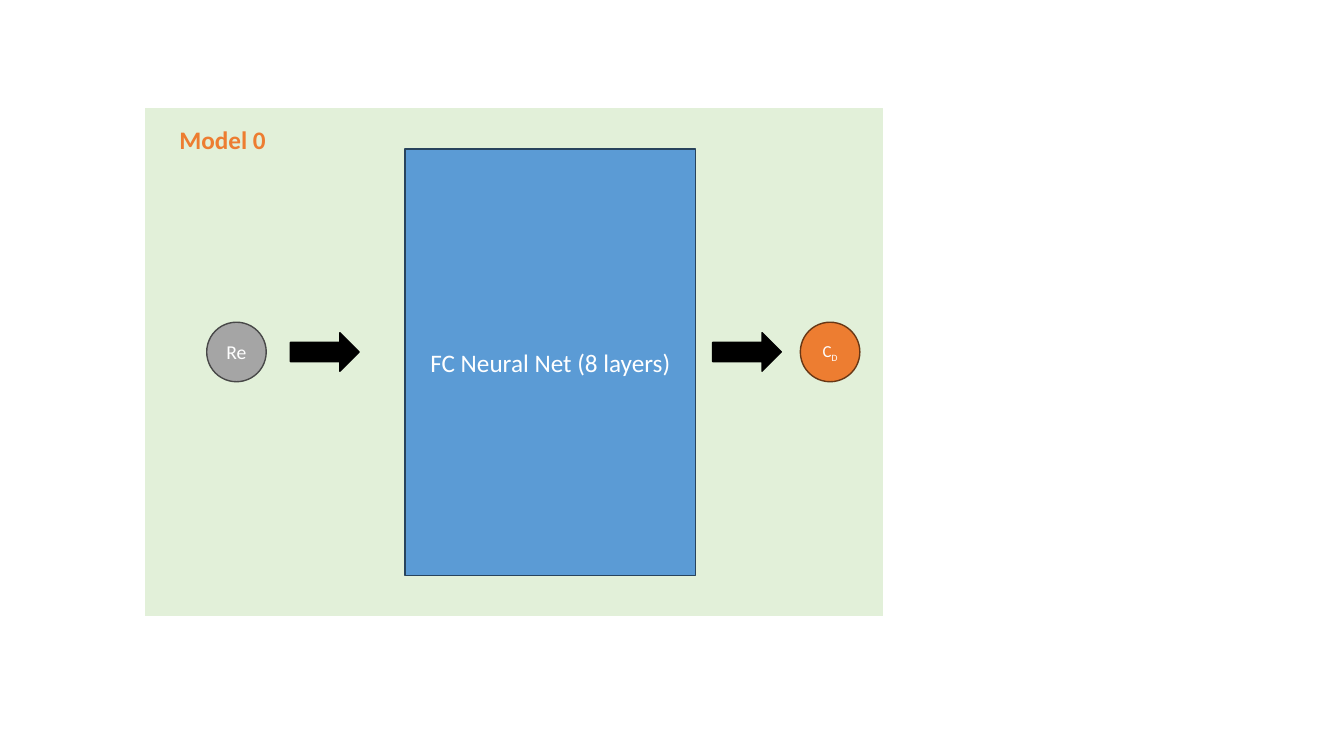
from dataclasses import dataclass

from pptx import Presentation
from pptx.dml.color import RGBColor
from pptx.enum.shapes import MSO_SHAPE as SHAPE
from pptx.enum.text import MSO_ANCHOR as ANCHOR, PP_ALIGN as ALIGN
from pptx.util import Cm, Pt


@dataclass(frozen=True)
class Theme:
    font: str = "Calibri"
    panel: str = "E2F0D9"
    input: str = "A5A5A5"
    input_line: str = "484848"
    net: str = "5B9BD5"
    net_line: str = "28445D"
    output: str = "ED7D31"
    output_line: str = "683715"
    arrow: str = "000000"
    light: str = "FFFFFF"
    heading: int = 18
    input_size: int = 14
    output_size: int = 12


THEME = Theme()


def add_text(tf, text, size, color=THEME.light, bold=False, align=ALIGN.CENTER,
             anchor=ANCHOR.MIDDLE, inset=0, sub=""):
    tf.word_wrap = True
    tf.vertical_anchor = anchor
    tf.margin_left = tf.margin_right = Cm(inset)
    tf.margin_top = tf.margin_bottom = Cm(inset / 2)
    p = tf.paragraphs[0]
    p.alignment = align
    for part in filter(None, (text, sub)):
        r = p.add_run()
        r.text = part
        r.font.name = THEME.font
        r.font.size = Pt(size)
        r.font.bold = bold
        r.font.color.rgb = RGBColor.from_string(color)
    if sub:
        r.font._element.set("baseline", "-25000")


def add_block(shapes, kind, x, y, w, h, fill, line, weight=1):
    sp = shapes.add_shape(kind, Cm(x), Cm(y), Cm(w), Cm(h))
    sp.shadow.inherit = False
    sp.fill.solid()
    sp.fill.fore_color.rgb = RGBColor.from_string(fill)
    sp.line.color.rgb = RGBColor.from_string(line)
    sp.line.width = Pt(weight)
    return sp


def add_model(s, x, y, w, h):
    shapes = s.shapes.add_group_shape().shapes
    mid = y + 6.13
    node, arrow_w, arrow_h = 1.5, 1.73, 0.97

    add_block(shapes, SHAPE.RECTANGLE, x, y, w, h, THEME.panel, THEME.panel, 0.5)

    sp = add_block(shapes, SHAPE.OVAL, x + 1.55, mid - node / 2, node, node,
                   THEME.input, THEME.input_line)
    add_text(sp.text_frame, "Re", THEME.input_size)

    sp = add_block(shapes, SHAPE.RECTANGLE, x + 6.55, y + 1.02, 7.32, h - 2.04,
                   THEME.net, THEME.net_line)
    add_text(sp.text_frame, "FC Neural Net (8 layers)", THEME.heading, inset=0.25)

    sp = add_block(shapes, SHAPE.OVAL, x + 16.51, mid - node / 2, node, node,
                   THEME.output, THEME.output_line)
    add_text(sp.text_frame, "C", THEME.output_size, sub="D")

    for left in (3.66, 14.3):
        add_block(shapes, SHAPE.RIGHT_ARROW, x + left, mid - arrow_h / 2,
                  arrow_w, arrow_h, THEME.arrow, THEME.arrow)

    title = shapes.add_textbox(Cm(x + 0.61), Cm(y + 0.28), Cm(3.33), Cm(1.02))
    add_text(title.text_frame, "Model 0", THEME.heading, THEME.output, bold=True,
             align=ALIGN.LEFT, anchor=ANCHOR.TOP, inset=0.25)


def main():
    prs = Presentation()
    prs.slide_width, prs.slide_height = Cm(33.87), Cm(19.05)
    s = prs.slides.add_slide(prs.slide_layouts[6])
    add_model(s, 3.66, 2.74, 18.59, 12.78)
    prs.save("out.pptx")


if __name__ == "__main__":
    main()
